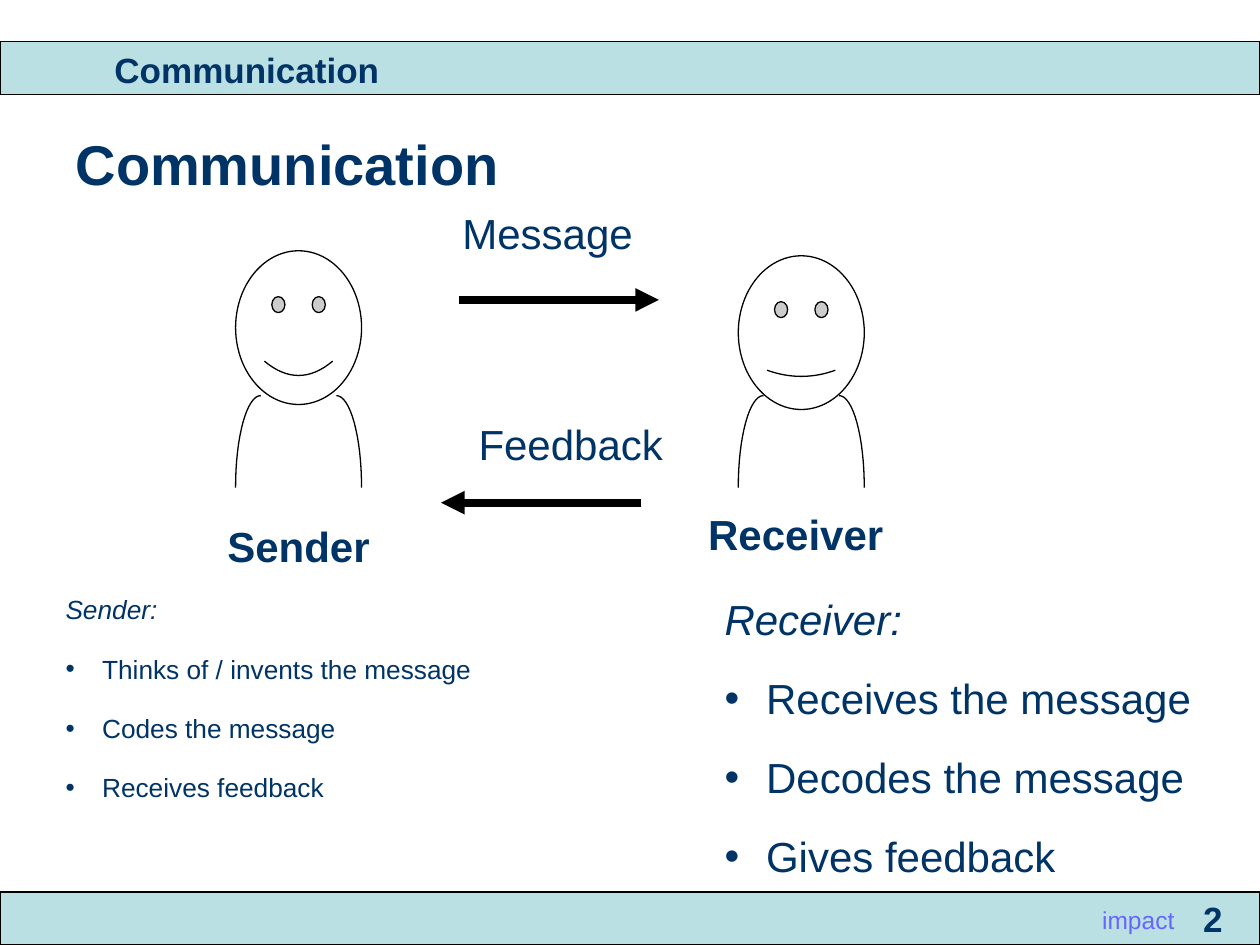
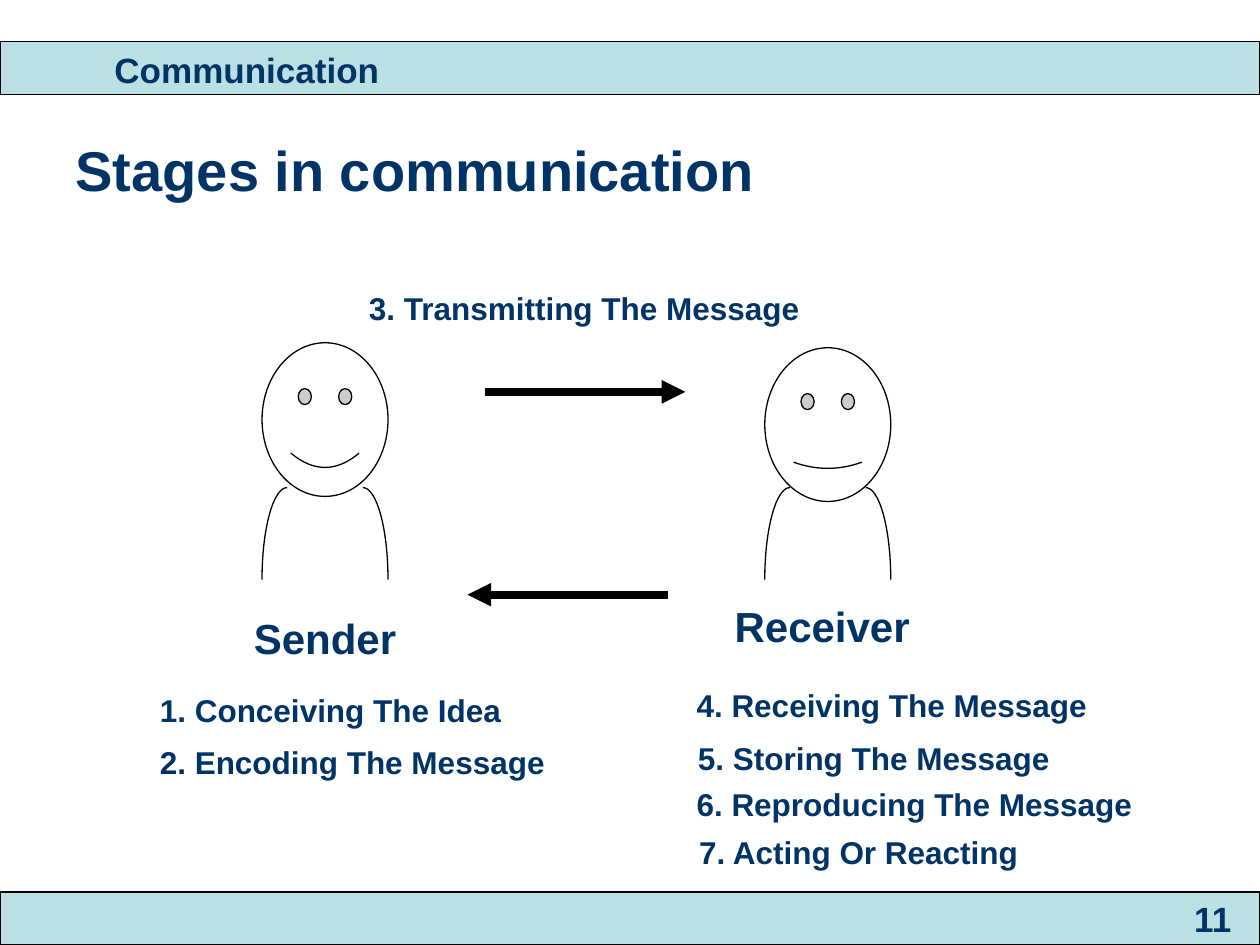
"""Builds two slides on the sender and receiver model of communication."""
from dataclasses import dataclass
from math import cos, pi, sin
from typing import Any, NamedTuple

from pptx import Presentation
from pptx import util as u
from pptx.dml.color import RGBColor
from pptx.enum import shapes, text
from pptx.oxml import parse_xml
from pptx.oxml.ns import nsdecls, qn

NAVY = RGBColor(0x00, 0x33, 0x66)
AQUA = RGBColor(0xBB, 0xE0, 0xE3)
VIOLET = RGBColor(0x66, 0x66, 0xFF)
BLACK = RGBColor(0, 0, 0)
WHITE = RGBColor(0xFF, 0xFF, 0xFF)

FONT = "Arial"
LINE_SPACING = 1.05
LEFT, CENTER, RIGHT = text.PP_ALIGN.LEFT, text.PP_ALIGN.CENTER, text.PP_ALIGN.RIGHT
TOP, MIDDLE = text.MSO_ANCHOR.TOP, text.MSO_ANCHOR.MIDDLE

FACE_SIZE = (1.0, 1.22)
SHOULDER_WIDTH, SHOULDER_HEIGHT, SHOULDER_TOP = 0.2, 0.73, 3.14
SHOULDER_STEPS = 16


class Box(NamedTuple):
    """Position and size in inches."""

    left: float
    top: float
    width: float
    height: float

    def lengths(self) -> list[u.Length]:
        """Returns the four values as lengths."""
        return [u.Inches(value) for value in self]


class Offset(NamedTuple):
    """Shift of the whole dialogue drawing in inches."""

    across: float = 0
    down: float = 0


@dataclass(frozen=True)
class Label:
    """One line of text in its box."""

    words: str
    box: Box
    size: float = 24
    bold: bool = True
    color: RGBColor = NAVY
    align: Any = CENTER
    anchor: Any = TOP
    wrap: bool = True


@dataclass(frozen=True)
class Person:
    """One partner in the dialogue."""

    role: str
    left: float
    face_top: float
    smile: float
    role_box: Box


class Arrow(NamedTuple):
    """A horizontal arrow from start to end."""

    start: float
    end: float
    level: float


class RoleList(NamedTuple):
    """The tasks of one partner."""

    heading: str
    tasks: tuple[str, ...]
    box: Box
    size: float
    indent: float


BANDS = (Box(0, 7.08, 10, 0.42), Box(0, 0.33, 10, 0.42))
TOPIC = Label("Communication", Box(0.81, 0.32, 4.22, 0.44), 20, align=LEFT, anchor=MIDDLE)
PEOPLE = (
    Person("Sender", 1.87, 1.99, 0.09, Box(1.7, 4.06, 1.34, 0.73)),
    Person("Receiver", 5.86, 2.03, 0.02, Box(5.52, 3.97, 1.59, 0.73)),
)
ARROWS = (Arrow(3.64, 5.23, 2.38), Arrow(5.09, 3.5, 3.99))
EXCHANGES = (
    Label("Message", Box(3.55, 1.58, 1.59, 0.73), bold=False),
    Label("Feedback", Box(3.6, 3.25, 1.86, 0.73), bold=False),
    Label("impact", Box(8.25, 7.12, 1.17, 0.34), 14, False, VIOLET, RIGHT),
)
ROLE_LISTS = (
    RoleList(
        "Sender:",
        ("Thinks of / invents the message", "Codes the message", "Receives feedback"),
        Box(0.42, 4.65, 5.58, 1.7), 15, 0.29,
    ),
    RoleList(
        "Receiver:",
        ("Receives the message", "Decodes the message", "Gives feedback"),
        Box(5.65, 4.64, 4.17, 2.5), 24, 0.33,
    ),
)
STAGES = (
    ("Conceiving The Idea", 1.17, 5.42, 2.91, False),
    ("Encoding The Message", 1.17, 5.83, 5, True),
    ("Transmitting The Message", 2.83, 2.23, 3.63, False),
    ("Receiving The Message", 5.43, 5.38, 3.3, False),
    ("Storing The Message", 5.44, 5.8, 2.99, False),
    ("Reproducing The Message", 5.43, 6.17, 3.66, False),
    ("Acting Or Reacting", 5.45, 6.55, 4.5, True),
)


def apply(target: Any, values: dict[str, Any]) -> None:
    """Sets every attribute in values on the target."""
    for name, value in values.items():
        setattr(target, name, value)


def place(shape: Any, box: Box) -> None:
    """Moves a placeholder into its box."""
    apply(shape, dict(zip(("left", "top", "width", "height"), box.lengths())))


def write(paragraph: Any, words: str, size: float, color: RGBColor = NAVY,
          bold: bool = False, italic: bool = False) -> None:
    """Adds one formatted run to a paragraph."""
    run = paragraph.add_run()
    run.text = words
    apply(run.font, {"name": FONT, "size": u.Pt(size), "bold": bold, "italic": italic})
    run.font.color.rgb = color


def set_frame(frame: Any, anchor: Any = TOP, wrap: bool = True) -> None:
    """Gives a text frame the common margins and fit."""
    apply(frame, {
        "auto_size": text.MSO_AUTO_SIZE.NONE, "word_wrap": wrap, "vertical_anchor": anchor,
        "margin_left": u.Inches(0.1), "margin_right": u.Inches(0.1),
        "margin_top": u.Inches(0.05), "margin_bottom": u.Inches(0.05),
    })


def fill_label(shape: Any, label: Label) -> None:
    """Writes a label into a text box or placeholder."""
    frame = shape.text_frame
    set_frame(frame, label.anchor, label.wrap)
    line = frame.paragraphs[0]
    apply(line, {"alignment": label.align, "line_spacing": LINE_SPACING, "space_before": u.Pt(0)})
    write(line, label.words, label.size, label.color, label.bold)


def add_label(slide: Any, label: Label) -> None:
    """Adds a label as a text box."""
    fill_label(slide.shapes.add_textbox(*label.box.lengths()), label)


def outline(shape: Any, fill: RGBColor | None) -> None:
    """Gives a shape a thin black line and its fill."""
    shape.shadow.inherit = False
    apply(shape.line, {"width": u.Pt(0.75)})
    shape.line.color.rgb = BLACK
    if fill is None:
        shape.fill.background()
    else:
        shape.fill.solid()
        shape.fill.fore_color.rgb = fill


def add_shoulder(slide: Any, neck: float, top: float, side: int) -> None:
    """Draws a quarter ellipse from the neck outwards, side being -1 or 1."""
    angles = [pi / 2 * step / SHOULDER_STEPS for step in range(SHOULDER_STEPS + 1)]
    points = [
        (u.Inches(neck + side * SHOULDER_WIDTH * sin(angle)),
         u.Inches(top + SHOULDER_HEIGHT * (1 - cos(angle))))
        for angle in angles
    ]
    builder = slide.shapes.build_freeform(*points[0])
    builder.add_line_segments(points[1:], close=False)
    outline(builder.convert_to_shape(), None)


def add_person(slide: Any, person: Person, shift: Offset) -> None:
    """Draws face, shoulders and role of a person."""
    left = person.left + shift.across
    width, height = FACE_SIZE
    face_box = Box(left, person.face_top + shift.down, width, height)
    face = slide.shapes.add_shape(shapes.MSO_SHAPE.SMILEY_FACE, *face_box.lengths())
    face.adjustments[0] = person.smile
    outline(face, WHITE)
    for neck, side in ((left + SHOULDER_WIDTH, -1), (left + width - SHOULDER_WIDTH, 1)):
        add_shoulder(slide, neck, SHOULDER_TOP + shift.down, side)
    box = person.role_box
    role_box = box._replace(left=box.left + shift.across, top=box.top + shift.down)
    add_label(slide, Label(person.role, role_box))


def add_arrow(slide: Any, arrow: Arrow, shift: Offset) -> None:
    """Draws a thick arrow with its head at the end."""
    level = u.Inches(arrow.level + shift.down)
    start, end = (u.Inches(x + shift.across) for x in (arrow.start, arrow.end))
    connector = slide.shapes.add_connector(
        shapes.MSO_CONNECTOR.STRAIGHT, start, level, end, level)
    connector.line.width = u.Pt(4.5)
    connector.line.color.rgb = BLACK
    properties = connector._element.spPr
    properties.find(qn("a:ln")).append(
        parse_xml(f'<a:tailEnd {nsdecls("a")} type="triangle"/>'))
    properties.append(parse_xml(f'<a:effectLst {nsdecls("a")}/>'))


def add_dialogue(slide: Any, shift: Offset) -> None:
    """Draws both people and the arrows between them."""
    for person in PEOPLE:
        add_person(slide, person, shift)
    for arrow in ARROWS:
        add_arrow(slide, arrow, shift)


def set_bullet(paragraph: Any, indent: float) -> None:
    """Gives a paragraph a hanging bullet, or none without an indent."""
    properties = paragraph._p.get_or_add_pPr()
    properties.set("marL", str(u.Inches(indent)))
    properties.set("indent", str(-u.Inches(indent)))
    if indent:
        marks = (f'<a:buClr {nsdecls("a")}><a:srgbClr val="{NAVY}"/></a:buClr>',
                 f'<a:buFont {nsdecls("a")} typeface="{FONT}"/>',
                 f'<a:buChar {nsdecls("a")} char="•"/>')
    else:
        marks = (f'<a:buNone {nsdecls("a")}/>',)
    for mark in marks:
        properties.append(parse_xml(mark))


def fill_role_list(body: Any, role_list: RoleList) -> None:
    """Writes a heading and its tasks into a body placeholder."""
    place(body, role_list.box)
    frame = body.text_frame
    set_frame(frame)
    for number, words in enumerate((role_list.heading, *role_list.tasks)):
        line = frame.add_paragraph() if number else frame.paragraphs[0]
        set_bullet(line, role_list.indent if number else 0)
        apply(line, {"alignment": LEFT, "line_spacing": LINE_SPACING,
                     "space_before": u.Pt(15 if number else 0)})
        write(line, words, role_list.size, italic=not number)


def add_slide(deck: Any, layout: int, heading: str, top: float, number: str) -> Any:
    """Adds a slide with bands, topic, heading and page number."""
    slide = deck.slides.add_slide(deck.slide_layouts[layout])
    for box in BANDS:
        outline(slide.shapes.add_shape(shapes.MSO_SHAPE.RECTANGLE, *box.lengths()), AQUA)
    title = Label(heading, Box(0.5, top, 9, 0.7), 32, align=LEFT)
    place(slide.shapes.title, title.box)
    fill_label(slide.shapes.title, title)
    add_label(slide, TOPIC)
    add_label(slide, Label(number, Box(9.25, 7.06, 0.75, 0.44), 20, anchor=MIDDLE))
    return slide


def main() -> None:
    """Builds and saves the presentation."""
    deck = Presentation()
    apply(deck, {"slide_width": u.Inches(10), "slide_height": u.Inches(7.5)})

    model = add_slide(deck, 3, "Communication", 0.95, "2")
    add_dialogue(model, Offset())
    for exchange in EXCHANGES:
        add_label(model, exchange)
    for index, role_list in enumerate(ROLE_LISTS, 1):
        fill_role_list(model.placeholders[index], role_list)

    stages = add_slide(deck, 5, "Stages in communication", 1, "11")
    add_dialogue(stages, Offset(0.21, 0.73))
    for number, (stage, left, top, width, wrap) in enumerate(STAGES, 1):
        add_label(stages, Label(f"{number}. {stage}", Box(left, top, width, 0.4), 18,
                                align=LEFT, wrap=wrap))
    deck.save("out.pptx")


if __name__ == "__main__":
    main()
